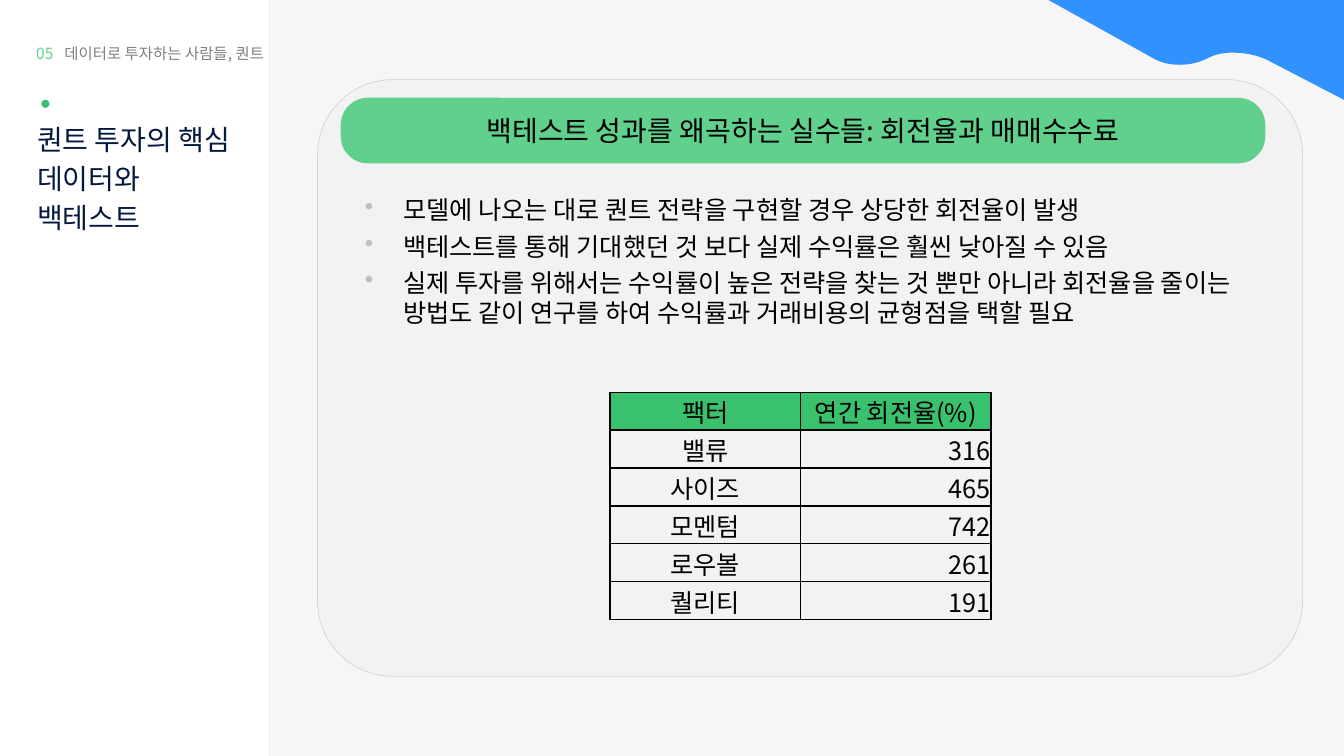
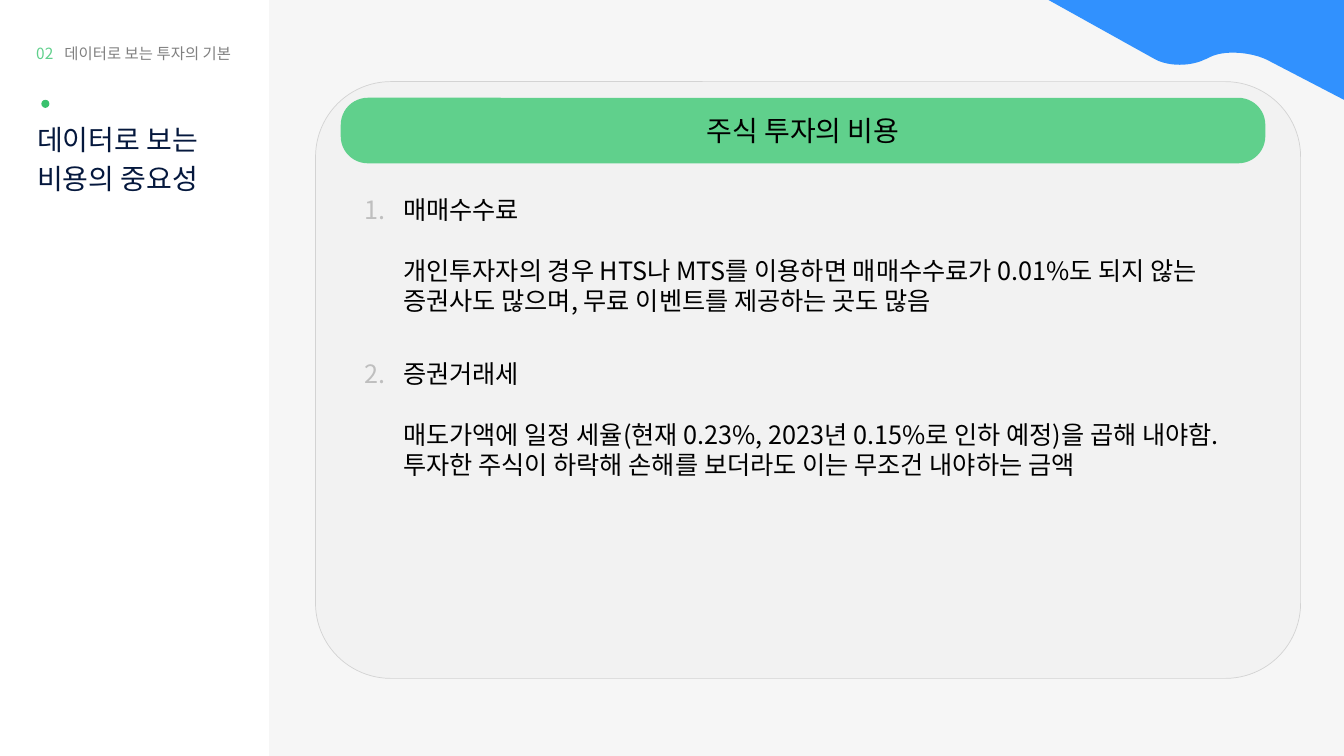
from dataclasses import dataclass

from lxml.etree import SubElement
from pptx import Presentation
from pptx.dml.color import RGBColor
from pptx.enum.shapes import MSO_SHAPE
from pptx.enum.text import MSO_ANCHOR, PP_ALIGN
from pptx.oxml.ns import qn
from pptx.util import Emu, Inches, Pt


@dataclass(frozen=True)
class Theme:
    """Colours, type sizes and font shared by the slides."""
    font: str = "Noto Sans CJK KR"
    surface: str = "F2F2F2"
    outline: str = "D3D3D3"
    green: str = "39C16D"
    light_green: str = "60D08C"
    blue: str = "3191FE"
    navy: str = "05183D"
    gray: str = "808080"
    marker: str = "BFBFBF"
    black: str = "000000"
    chapter_size: float = 11
    title_size: float = 20
    body_size: float = 18
    title_leading: float = 28
    item_gap: float = 4.5
    blank_line: float = 21.7
    section_gap: float = 30.5


THEME = Theme()
SLIDE_WIDTH, SLIDE_HEIGHT = Inches(13.33), Inches(7.5)


def box(left, top, width, height):
    """Turn four lengths in inches into a box."""
    return Inches(left), Inches(top), Inches(width), Inches(height)


def add_run(paragraph, text, size, color):
    """Add one run in the theme font, for Latin and Korean alike."""
    run = paragraph.add_run()
    run.text = text
    run.font.size = Pt(size)
    run.font.name = THEME.font
    run.font.color.rgb = RGBColor.from_string(color)
    SubElement(run.font._element, qn("a:ea"), typeface=THEME.font)


def paragraphs(frame, count):
    """Return the first paragraph of a frame and the further ones needed."""
    return [frame.paragraphs[0]] + [frame.add_paragraph() for _ in range(count - 1)]


def add_text_frame(slide, area):
    """Add a wrapping text box and return its frame."""
    frame = slide.shapes.add_textbox(*area).text_frame
    frame.word_wrap = True
    return frame


def paint(shape, color, opacity=100, outline=None):
    """Give a shape a flat fill, an optional hairline and no shadow."""
    shape.shadow.inherit = False
    shape.fill.solid()
    shape.fill.fore_color.rgb = RGBColor.from_string(color)
    if opacity < 100:
        solid = shape._element.spPr.find(qn("a:solidFill"))
        SubElement(solid[0], qn("a:alpha"), val=str(opacity * 1000))
    if outline:
        shape.line.color.rgb = RGBColor.from_string(outline)
        shape.line.width = Pt(0.5)
    else:
        shape.line.fill.background()


def add_rounded(slide, area, radius, color, **style):
    """Add a painted rounded rectangle."""
    rounded = slide.shapes.add_shape(MSO_SHAPE.ROUNDED_RECTANGLE, *area)
    rounded.adjustments[0] = radius
    paint(rounded, color, **style)
    return rounded


def curve(start, control_1, control_2, end, steps=12):
    """Return points along a cubic curve, without its start."""
    points = []
    for step in range(1, steps + 1):
        t = step / steps
        weights = ((1 - t) ** 3, 3 * t * (1 - t) ** 2, 3 * t * t * (1 - t), t ** 3)
        points.append(tuple(
            sum(weight * value for weight, value in zip(weights, values))
            for values in zip(start, control_1, control_2, end)))
    return points


def add_corner_wave(slide, area):
    """Draw the blue wave, which fills the given corner box."""
    left, top, width, height = area
    outline = [(width, 0), (width, height), (Inches(2.16), Inches(0.59))]
    bends = [
        ((2.01, 0.52), (1.78, 0.5), (1.64, 0.55)),
        ((1.59, 0.57), (1.58, 0.58), (1.55, 0.59)),
        ((1.41, 0.66), (1.19, 0.66), (1.06, 0.59)),
    ]
    for bend in bends:
        knots = [(Inches(x), Inches(y)) for x, y in bend]
        outline += curve(outline[-1], *knots)
    builder = slide.shapes.build_freeform(left, top)
    builder.add_line_segments([(left + x, top + y) for x, y in outline], close=True)
    paint(builder.convert_to_shape(), THEME.blue)


def add_chapter(slide, area, number, chapter):
    """Write the chapter number and name at the top of the sidebar."""
    frame = add_text_frame(slide, area)
    frame.margin_left = frame.margin_right = Inches(0.05)
    line = frame.paragraphs[0]
    tabs = SubElement(line._p.get_or_add_pPr(), qn("a:tabLst"))
    SubElement(tabs, qn("a:tab"), pos=str(Inches(0.28)), algn="l")
    add_run(line, f"{number}\t", THEME.chapter_size, THEME.light_green)
    add_run(line, chapter, THEME.chapter_size, THEME.gray)


def add_topic(slide, area, lines):
    """Write the slide topic in the sidebar, one paragraph a line."""
    frame = add_text_frame(slide, area)
    for paragraph, text in zip(paragraphs(frame, len(lines)), lines):
        paragraph.line_spacing = Pt(THEME.title_leading)
        add_run(paragraph, text, THEME.title_size, THEME.navy)


def add_panel(slide, area, heading):
    """Add the content panel and the green heading band."""
    add_rounded(slide, area, 0.126, THEME.surface, opacity=80, outline=THEME.outline)
    band = add_rounded(slide, box(3.38, 0.97, 9.17, 0.65), 0.413, THEME.light_green)
    frame = band.text_frame
    frame.word_wrap = True
    frame.vertical_anchor = MSO_ANCHOR.MIDDLE
    frame.paragraphs[0].alignment = PP_ALIGN.CENTER
    add_run(frame.paragraphs[0], heading, THEME.title_size, THEME.black)


def add_frame(prs, edge, number, chapter, topic, panel, heading):
    """Start a slide with everything the slides share."""
    slide = prs.slides.add_slide(prs.slide_layouts[6])
    left = Inches(edge)
    backdrop = slide.shapes.add_shape(
        MSO_SHAPE.RECTANGLE, left, 0, SLIDE_WIDTH - left, SLIDE_HEIGHT)
    paint(backdrop, THEME.surface, opacity=66)
    dot = slide.shapes.add_shape(MSO_SHAPE.OVAL, *box(0.41, 0.99, 0.08, 0.08))
    paint(dot, THEME.green)
    add_chapter(slide, box(0.31, 0.39, 2.47, 0.39), number, chapter)
    add_panel(slide, panel, heading)
    add_corner_wave(slide, box(10.4, 0, 2.93, 0.99))
    add_topic(slide, box(0.27, 1.11, 2.39, 0.3 + 0.39 * len(topic)), topic)
    return slide


def write_item(paragraph, text, gap, marker=None, **marker_values):
    """Write an indented paragraph with an optional gray bullet or number."""
    paragraph.space_before = Pt(gap)
    properties = paragraph._p.get_or_add_pPr()
    indent = Inches(0.38)
    properties.set("marL", str(indent))
    properties.set("indent", str(-indent if marker else 0))
    if marker:
        color = SubElement(properties, qn("a:buClr"))
        SubElement(color, qn("a:srgbClr"), val=THEME.marker)
        SubElement(properties, qn(marker), **marker_values)
    add_run(paragraph, text, THEME.body_size, THEME.black)


def add_bullets(slide, area, items):
    """Write a bulleted list."""
    frame = add_text_frame(slide, area)
    for paragraph, text in zip(paragraphs(frame, len(items)), items):
        write_item(paragraph, text, THEME.item_gap, "a:buChar", char="•")


def add_numbered_sections(slide, area, sections):
    """Write numbered headings, each followed by its explanation."""
    frame = add_text_frame(slide, area)
    rows = iter(paragraphs(frame, sum(1 + len(lines) for _, lines in sections)))
    for number, (heading, lines) in enumerate(sections, 1):
        gap = THEME.item_gap if number == 1 else THEME.section_gap
        write_item(next(rows), heading, gap, "a:buAutoNum",
                   type="arabicPeriod", startAt=str(number))
        for index, text in enumerate(lines):
            write_item(next(rows), text, 0 if index else THEME.blank_line)


def add_borders(cell):
    """Draw a thin black line on each side of a cell."""
    properties = cell._tc.get_or_add_tcPr()
    for index, side in enumerate(("a:lnL", "a:lnR", "a:lnT", "a:lnB")):
        border = properties.makeelement(qn(side), {"w": str(Pt(1))})
        properties.insert(index, border)
        SubElement(SubElement(border, qn("a:solidFill")), qn("a:srgbClr"), val=THEME.black)


def add_turnover_table(slide, area, rows):
    """Add the turnover table, with equal rows and columns in its box."""
    table = slide.shapes.add_table(len(rows), len(rows[0]), *area).table
    table.horz_banding = table.first_row = False
    for row in table.rows:
        row.height = Emu(area[3] // len(rows))
    for r, values in enumerate(rows):
        for c, value in enumerate(values):
            cell = table.cell(r, c)
            cell.margin_left = cell.margin_right = cell.margin_top = Inches(0.01)
            cell.margin_bottom = 0
            cell.vertical_anchor = MSO_ANCHOR.MIDDLE
            if r == 0:
                cell.fill.solid()
                cell.fill.fore_color.rgb = RGBColor.from_string(THEME.green)
            else:
                cell.fill.background()
            add_borders(cell)
            paragraph = cell.text_frame.paragraphs[0]
            paragraph.alignment = PP_ALIGN.RIGHT if r and c else PP_ALIGN.CENTER
            add_run(paragraph, value, THEME.body_size, THEME.black)


def build_turnover_slide(prs):
    """Build the slide on turnover and trading fees in backtests."""
    slide = add_frame(
        prs, 2.66, "05", "데이터로 투자하는 사람들, 퀀트",
        ["퀀트 투자의 핵심", "데이터와", "백테스트"],
        box(3.15, 0.79, 9.77, 5.92),
        "백테스트 성과를 왜곡하는 실수들: 회전율과 매매수수료")
    add_bullets(slide, box(3.52, 1.88, 8.85, 1.45), [
        "모델에 나오는 대로 퀀트 전략을 구현할 경우 상당한 회전율이 발생",
        "백테스트를 통해 기대했던 것 보다 실제 수익률은 훨씬 낮아질 수 있음",
        "실제 투자를 위해서는 수익률이 높은 전략을 찾는 것 뿐만 아니라 회전율을 "
        "줄이는 방법도 같이 연구를 하여 수익률과 거래비용의 균형점을 택할 필요",
    ])
    add_turnover_table(slide, box(6.05, 3.89, 3.78, 2.26), [
        ("팩터", "연간 회전율(%)"),
        ("밸류", "316"),
        ("사이즈", "465"),
        ("모멘텀", "742"),
        ("로우볼", "261"),
        ("퀄리티", "191"),
    ])


def build_cost_slide(prs):
    """Build the slide on the costs of investing in shares."""
    slide = add_frame(
        prs, 2.67, "02", "데이터로 보는 투자의 기본",
        ["데이터로 보는", "비용의 중요성"],
        box(3.13, 0.81, 9.77, 5.92), "주식 투자의 비용")
    add_numbered_sections(slide, box(3.52, 1.88, 8.85, 3.34), [
        ("매매수수료", [
            "개인투자자의 경우 HTS나 MTS를 이용하면 매매수수료가 0.01%도 되지 "
            "않는 증권사도 많으며, 무료 이벤트를 제공하는 곳도 많음",
        ]),
        ("증권거래세", [
            "매도가액에 일정 세율(현재 0.23%, 2023년 0.15%로 인하 예정)을 곱해 내야함.",
            "투자한 주식이 하락해 손해를 보더라도 이는 무조건 내야하는 금액",
        ]),
    ])


def main():
    """Build and save the presentation."""
    prs = Presentation()
    prs.slide_width, prs.slide_height = SLIDE_WIDTH, SLIDE_HEIGHT
    build_turnover_slide(prs)
    build_cost_slide(prs)
    prs.save("out.pptx")


main()
